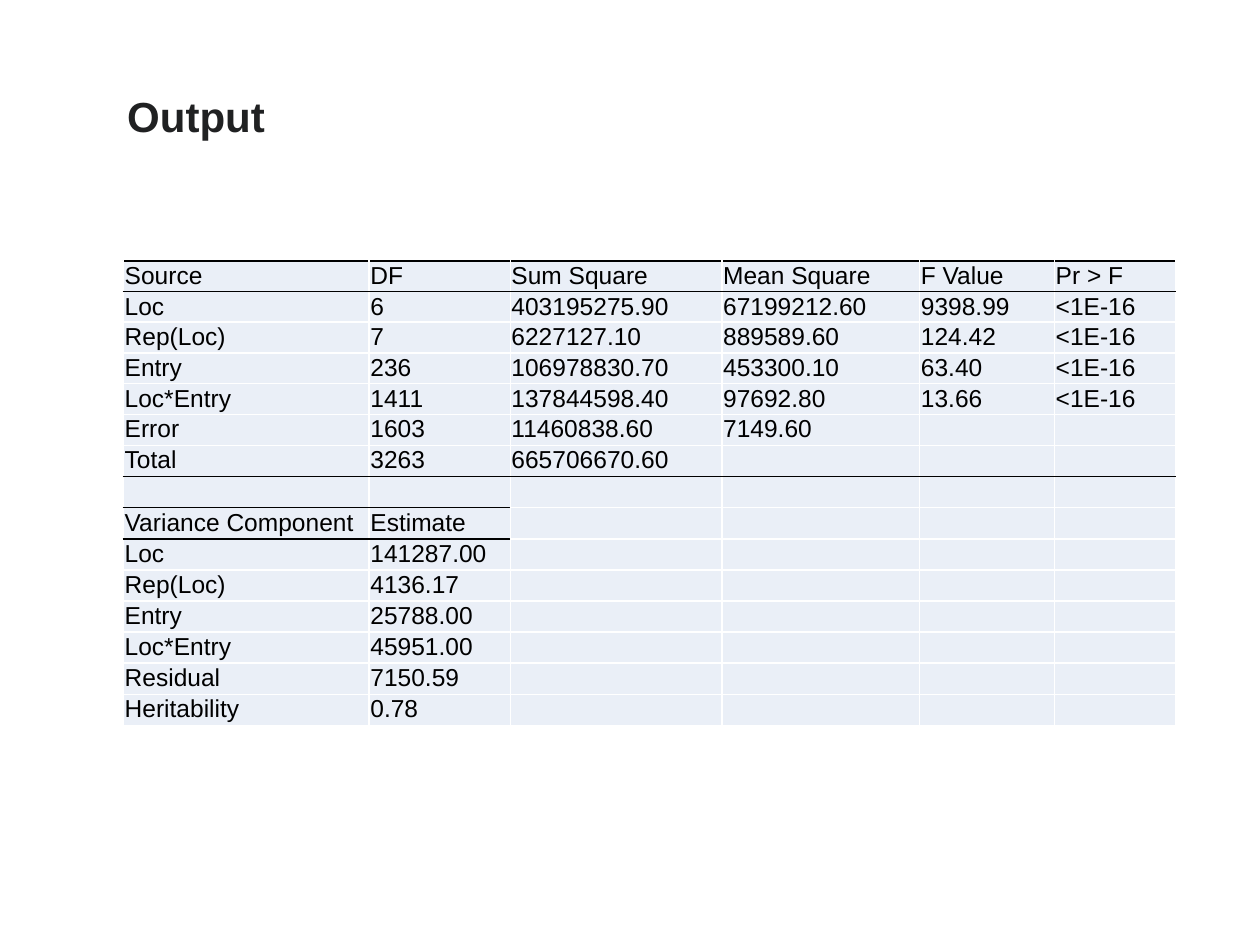
import pptx
import pptx.util
import pptx.dml.color
import pptx.enum.text
from lxml import etree
from pptx.oxml.ns import qn
from pptx.util import Inches

TITLE = "Output"
ANOVA = [
    ("Source", "DF", "Sum Square", "Mean Square", "F Value", "Pr > F"),
    ("Loc", "6", "403195275.90", "67199212.60", "9398.99", "<1E-16"),
    ("Rep(Loc)", "7", "6227127.10", "889589.60", "124.42", "<1E-16"),
    ("Entry", "236", "106978830.70", "453300.10", "63.40", "<1E-16"),
    ("Loc*Entry", "1411", "137844598.40", "97692.80", "13.66", "<1E-16"),
    ("Error", "1603", "11460838.60", "7149.60"),
    ("Total", "3263", "665706670.60"),
]
VARIANCE = [
    ("Variance Component", "Estimate"),
    ("Loc", "141287.00"),
    ("Rep(Loc)", "4136.17"),
    ("Entry", "25788.00"),
    ("Loc*Entry", "45951.00"),
    ("Residual", "7150.59"),
    ("Heritability", "0.78"),
]
COLORS = {"title": "202122", "text": "000000", "rule": "000000",
          "grid": "FFFFFF", "cell": "EAEFF7"}
COL_WIDTHS = [1.95, 1.12, 1.68, 1.57, 1.07, 0.96]
LEFT, TOP, HEIGHT = 0.98, 2.07, 3.66
FONT, BODY_SIZE = "Arial", 14

ROWS = ANOVA + [()] + VARIANCE
VARIANCE_TOP = len(ANOVA) + 1
RULE_WIDTHS = {
    0: len(COL_WIDTHS),
    1: len(COL_WIDTHS),
    len(ANOVA): len(COL_WIDTHS),
    VARIANCE_TOP: len(VARIANCE[0]),
    VARIANCE_TOP + 1: len(VARIANCE[0]),
}


def rgb(name):
    return pptx.dml.color.RGBColor.from_string(COLORS[name])


def add_run(p, text, size, color, bold=False):
    r = p.add_run()
    r.text = text
    r.font.name = FONT
    r.font.size = pptx.util.Pt(size)
    r.font.bold = bold
    r.font.color.rgb = rgb(color)


def edge_color(edge, col):
    return "rule" if col < RULE_WIDTHS.get(edge, 0) else "grid"


def set_borders(cell, row, col):
    tc_pr = cell._tc.get_or_add_tcPr()
    sides = {"lnL": "grid", "lnR": "grid",
             "lnT": edge_color(row, col), "lnB": edge_color(row + 1, col)}
    for side, color in sides.items():
        ln = etree.SubElement(tc_pr, qn(f"a:{side}"), w=str(pptx.util.Pt(1)))
        fill = etree.SubElement(ln, qn("a:solidFill"))
        etree.SubElement(fill, qn("a:srgbClr"), val=COLORS[color])


def format_cell(cell, row, col, text):
    cell.margin_left = cell.margin_right = cell.margin_top = Inches(0.01)
    cell.margin_bottom = 0
    set_borders(cell, row, col)
    cell.fill.solid()
    cell.fill.fore_color.rgb = rgb("cell")
    p = cell.text_frame.paragraphs[0]
    if text:
        add_run(p, text, BODY_SIZE, "text")
    else:
        etree.SubElement(p._p, qn("a:endParaRPr"), sz=str(BODY_SIZE * 100))


def add_title(s):
    sp = s.shapes.title
    sp.left, sp.top, sp.width, sp.height = map(Inches, (0.91, 0.67, 1.53, 0.5))
    tf = sp.text_frame
    tf.word_wrap = False
    tf.vertical_anchor = pptx.enum.text.MSO_ANCHOR.MIDDLE
    p = tf.paragraphs[0]
    p.alignment = pptx.enum.text.PP_ALIGN.LEFT
    add_run(p, TITLE, 24, "title", True)


def add_results(s):
    table = s.shapes.add_table(
        len(ROWS), len(COL_WIDTHS), Inches(LEFT), Inches(TOP),
        Inches(sum(COL_WIDTHS)), Inches(HEIGHT)).table
    table.first_row = table.horz_banding = False
    for column, width in zip(table.columns, COL_WIDTHS):
        column.width = Inches(width)
    for i, values in enumerate(ROWS):
        table.rows[i].height = Inches(HEIGHT / len(ROWS))
        for j in range(len(COL_WIDTHS)):
            text = values[j] if j < len(values) else ""
            format_cell(table.cell(i, j), i, j, text)


def main():
    prs = pptx.Presentation()
    prs.slide_width, prs.slide_height = Inches(10), Inches(7.5)
    s = prs.slides.add_slide(prs.slide_layouts[5])
    add_title(s)
    add_results(s)
    prs.save("out.pptx")


if __name__ == "__main__":
    main()
